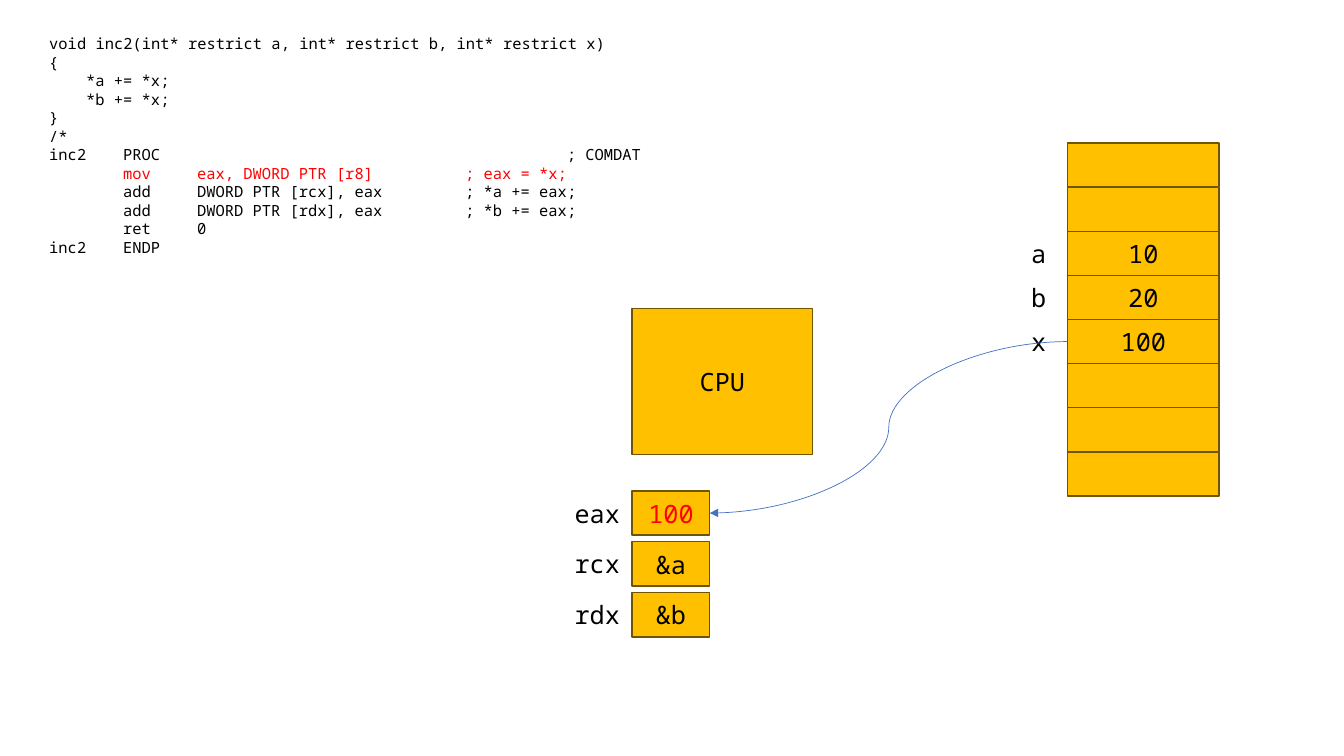
"""Build a slide showing how restrict lets x be loaded into a register once."""
from lxml.etree import SubElement
from pptx import Presentation
from pptx.dml.color import RGBColor
from pptx.enum.shapes import MSO_CONNECTOR as Connector, MSO_SHAPE as Shape
from pptx.enum.text import MSO_ANCHOR as Anchor, PP_ALIGN as Align
from pptx.oxml.ns import qn
from pptx.util import Inches, Pt

FONT = "Noto Sans Mono"
BLACK, RED, AMBER, BROWN, BLUE = "000000", "FF0000", "FFC000", "705400", "4472C4"
CHARACTER_WIDTH = 11 * 0.6 / 72

presentation = Presentation()
presentation.slide_width, presentation.slide_height = Inches(13.33), Inches(7.5)
slide = presentation.slides.add_slide(presentation.slide_layouts[6])


def color(value):
    return RGBColor.from_string(value)


def add_text(text, left, top, width, height, size=18, text_color=BLACK, box=False):
    area = [Inches(length) for length in (left, top, width, height)]
    if box:
        shape = slide.shapes.add_shape(Shape.RECTANGLE, *area)
        shape.shadow.inherit = False
        shape.fill.solid()
        shape.fill.fore_color.rgb = color(AMBER)
        shape.line.color.rgb = color(BROWN)
        shape.line.width = Pt(1)
    else:
        shape = slide.shapes.add_textbox(*area)
    frame = shape.text_frame
    frame.word_wrap = True
    frame.vertical_anchor = Anchor.MIDDLE if box else Anchor.TOP
    frame.text = text
    for paragraph in frame.paragraphs:
        paragraph.alignment = Align.CENTER if box else Align.LEFT
        paragraph.font.name = FONT
        paragraph.font.size = Pt(size)
        paragraph.font.color.rgb = color(text_color)
    return shape


code_lines = [
    ("void inc2(int* restrict a, int* restrict b, int* restrict x)", []),
    ("{", []),
    ("\t*a += *x;", [4]),
    ("\t*b += *x;", [4]),
    ("}", []),
    ("/*", []),
    ("inc2\tPROC\t; COMDAT", [8, 56]),
    ("\tmov\teax, DWORD PTR [r8]\t; eax = *x;", [8, 16, 45]),
    ("\tadd\tDWORD PTR [rcx], eax\t; *a += eax;", [8, 16, 45]),
    ("\tadd\tDWORD PTR [rdx], eax\t; *b += eax;", [8, 16, 45]),
    ("\tret\t0", [8, 16]),
    ("inc2\tENDP", [8]),
]
code = add_text("\n".join(line for line, stops in code_lines), 0.39, 0.29, 6.67, 2.32, size=11)
for paragraph, (line, stops) in zip(code.text_frame.paragraphs, code_lines):
    if "mov" in line:
        paragraph.font.color.rgb = color(RED)
    if stops:
        properties = paragraph.font._element.getparent()
        tab_list = properties.makeelement(qn("a:tabLst"))
        properties.insert(0, tab_list)
        for stop in stops:
            position = str(Inches(stop * CHARACTER_WIDTH))
            SubElement(tab_list, qn("a:tab"), pos=position, algn="l")

add_text("CPU", 6.27, 3.06, 1.79, 1.45, box=True)

registers = {}
for index, (name, value) in enumerate([("eax", "100"), ("rcx", "&a"), ("rdx", "&b")]):
    top = 4.87 + index * 0.505
    value_color = RED if name == "eax" else BLACK
    registers[name] = add_text(value, 6.27, top, 0.77, 0.44, text_color=value_color, box=True)
    add_text(name, 5.6, top + 0.02, 0.67, 0.4)

memory = [("", ""), ("", ""), ("a", "10"), ("b", "20"), ("x", "100"), ("", ""), ("", ""), ("", "")]
cell_height = 3.5 / len(memory)
cells = {}
for index, (name, value) in enumerate(memory):
    top = 1.42 + index * cell_height
    cell = add_text(value, 10.59, top, 1.5, cell_height, box=True)
    if name:
        cells[name] = cell
        add_text(name, 10.13, top + 0.02, 0.53, 0.4)

load_arrow = slide.shapes.add_connector(Connector.CURVE, 0, 0, 0, 0)
load_arrow.begin_connect(cells["x"], 1)
load_arrow.end_connect(registers["eax"], 3)
load_arrow.line.color.rgb = color(BLUE)
load_arrow.line.width = Pt(0.5)
SubElement(load_arrow.line._get_or_add_ln(), qn("a:tailEnd"), type="triangle")
SubElement(load_arrow._element.spPr, qn("a:effectLst"))

presentation.save("out.pptx")
